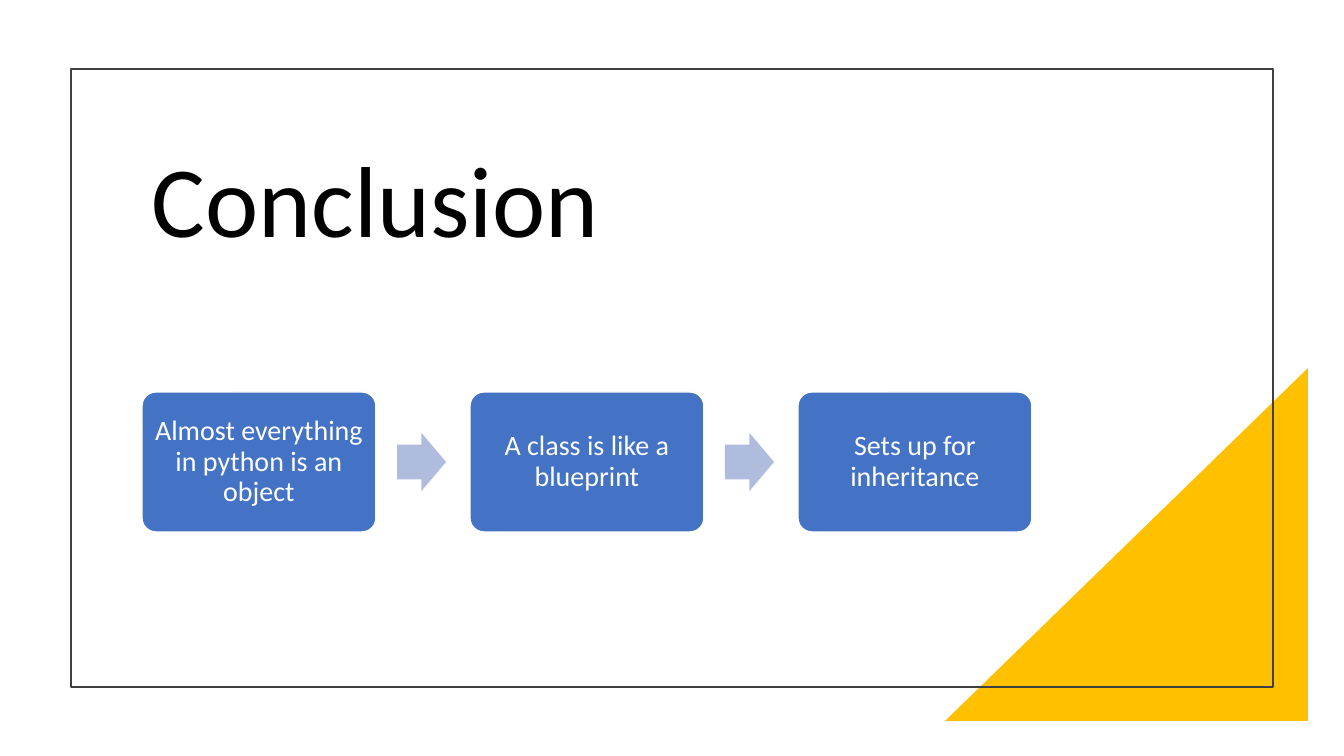
"""Build the conclusion slide: a framed title over a three-step process."""
import pptx
import pptx.dml.color
import pptx.enum.shapes
import pptx.enum.text
import pptx.util

RGB = pptx.dml.color.RGBColor
SHAPE = pptx.enum.shapes.MSO_SHAPE
ALIGN = pptx.enum.text.PP_ALIGN
MIDDLE = pptx.enum.text.MSO_ANCHOR.MIDDLE

BLACK = RGB(0x00, 0x00, 0x00)
WHITE = RGB(0xFF, 0xFF, 0xFF)
GOLD = RGB(0xFF, 0xC0, 0x00)
FRAME_GREY = RGB(0x40, 0x40, 0x40)
STEP_BLUE = RGB(0x44, 0x72, 0xC4)
ARROW_BLUE = RGB(0xB0, 0xBC, 0xDE)

FONT = "Calibri"
STEPS = (
    "Almost everything in python is an object",
    "A class is like a blueprint",
    "Sets up for inheritance",
)
STEP_LEFT, STEP_PITCH = 142, 328
ARROW_OFFSET = 255


def px(n):
    """Turn picture pixels into EMU."""
    return pptx.util.Emu(round(n * 914400 / 100.8))


def add_shape(slide, kind, box, fill=None, line=None, width=1, adj=()):
    """Add a preset shape without shadow, filled and outlined only on request."""
    s = slide.shapes.add_shape(kind, *map(px, box))
    s.shadow.inherit = False
    if fill is None:
        s.fill.background()
    else:
        s.fill.solid()
        s.fill.fore_color.rgb = fill
    if line is None:
        s.line.fill.background()
    else:
        s.line.color.rgb = line
        s.line.width = pptx.util.Pt(width)
    for i, value in enumerate(adj):
        s.adjustments[i] = value
    return s


def set_text(s, text, size, color, align, inset):
    """Write one vertically centred paragraph into a shape."""
    tf = s.text_frame
    tf.word_wrap = True
    tf.vertical_anchor = MIDDLE
    tf.margin_left = tf.margin_right = px(inset)
    tf.margin_top = tf.margin_bottom = px(inset)
    p = tf.paragraphs[0]
    p.text = text
    p.alignment = align
    p.line_spacing = 0.9
    p.font.name = FONT
    p.font.size = pptx.util.Pt(size)
    p.font.color.rgb = color


def add_title(slide, text):
    """Add the large slide title."""
    s = slide.shapes.add_textbox(*map(px, (142, 116, 890, 178)))
    set_text(s, text, 72, BLACK, ALIGN.LEFT, 10)


def add_corner(slide):
    """Add the gold triangle with its right angle at the bottom right."""
    s = add_shape(slide, SHAPE.RIGHT_TRIANGLE, (945, 368, 363, 353), GOLD)
    s._element.spPr.xfrm.set("flipH", "1")


def add_step(slide, left, text):
    """Add one rounded process step."""
    box = (left, 392, 234, 140)
    s = add_shape(slide, SHAPE.ROUNDED_RECTANGLE, box, STEP_BLUE, WHITE, adj=(0.1,))
    set_text(s, text, 20, WHITE, ALIGN.CENTER, 7)


def add_process(slide, steps):
    """Add the steps at an even pitch, with an arrow before each later one."""
    for i, text in enumerate(steps):
        left = STEP_LEFT + i * STEP_PITCH
        if i:
            box = (left - STEP_PITCH + ARROW_OFFSET, 433, 49, 58)
            add_shape(slide, SHAPE.RIGHT_ARROW, box, ARROW_BLUE, adj=(0.6, 0.5))
        add_step(slide, left, text)


def main():
    """Compose and save the slide."""
    prs = pptx.Presentation()
    prs.slide_width, prs.slide_height = px(1344), px(756)
    slide = prs.slides.add_slide(prs.slide_layouts[6])
    add_corner(slide)
    add_shape(slide, SHAPE.RECTANGLE, (71, 69, 1202, 618), line=FRAME_GREY, width=1.5)
    add_title(slide, "Conclusion")
    add_process(slide, STEPS)
    prs.save("out.pptx")


main()
